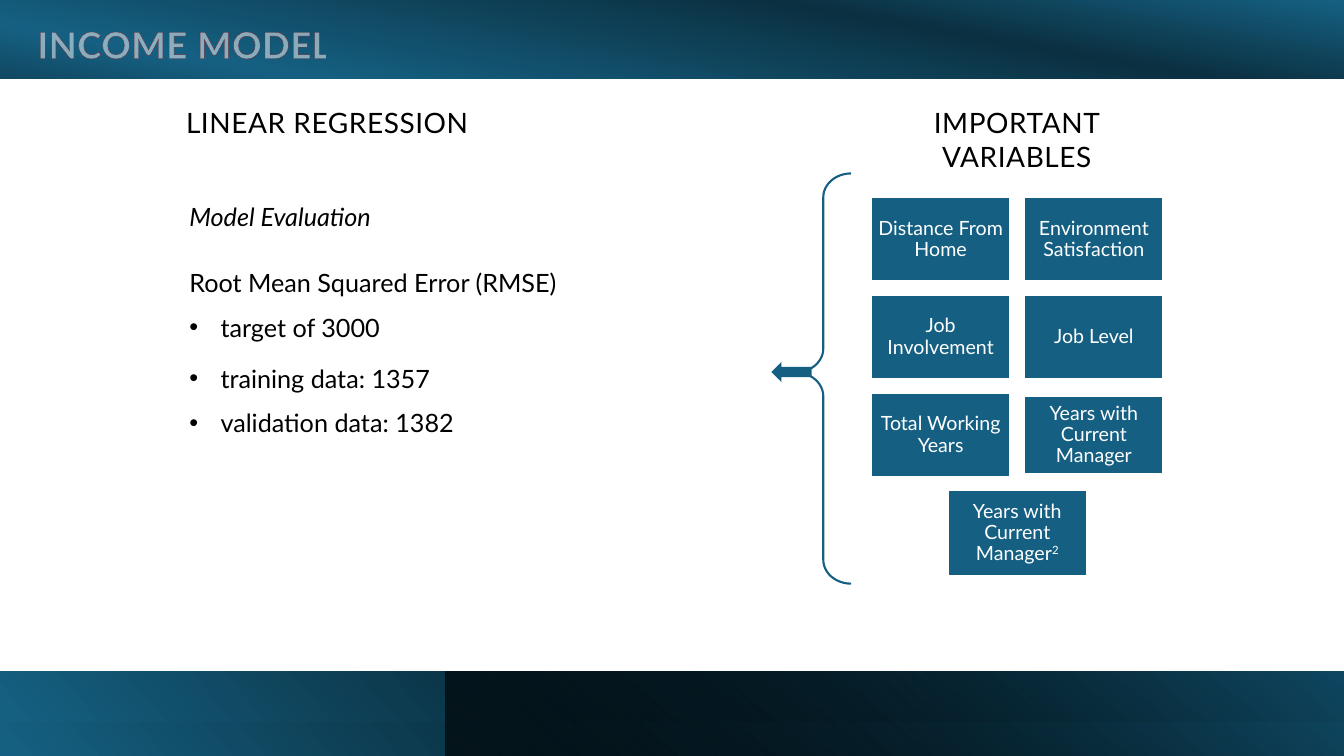
import pptx
import pptx.util
import pptx.dml.color
import pptx.enum.shapes
import pptx.enum.text
import pptx.oxml
import pptx.oxml.ns

COLORS = {"teal": "156082", "deep": "0B3041", "mid": "104862",
          "black": "000000", "white": "FFFFFF", "red": "C00000"}
FONT = "Lato"
NS = 'xmlns:a="http://schemas.openxmlformats.org/drawingml/2006/main"'
WIDTH, HEIGHT = pptx.util.Inches(13.33), pptx.util.Inches(7.5)
SHAPE = pptx.enum.shapes.MSO_SHAPE
ALIGN = pptx.enum.text.PP_ALIGN
ANCHOR = pptx.enum.text.MSO_ANCHOR

# Variable boxes: label, superscript, grid column, grid row, height in percent
VARIABLES = [
    ("Distance From Home", "", 0, 0, 11.07),
    ("Environment Satisfaction", "", 1, 0, 11.07),
    ("Job Involvement", "", 0, 1, 11.07),
    ("Job Level", "", 1, 1, 11.07),
    ("Total Working Years", "", 0, 2, 11.07),
    ("Years with Current Manager", "", 1, 2, 10.4),
    ("Years with Current Manager", "2", 0.5, 3, 11.33),
]
# Evaluation lines: text, italic, bullet, space before in points
EVALUATION = [
    ("Model Evaluation", True, False, 0),
    ("Root Mean Squared Error (RMSE)", False, False, 25.6),
    ("target of 3000", False, True, 10),
    ("training data: 1357", False, True, 15),
    ("validation data: 1382", False, True, 10),
]


def rgb(name):
    return pptx.dml.color.RGBColor.from_string(COLORS[name])


def area(left, top, width, height):
    """Turn percentages of the slide into lengths."""
    return (int(WIDTH * left / 100), int(HEIGHT * top / 100),
            int(WIDTH * width / 100), int(HEIGHT * height / 100))


def add_span(para, text, size, color, bold=False, italic=False, spacing=0):
    span = para.add_run()
    span.text = text
    span.font.name, span.font.size = FONT, pptx.util.Pt(size)
    span.font.bold, span.font.italic = bold, italic
    span.font.color.rgb = rgb(color)
    if spacing:
        span.font._element.set("spc", str(spacing))
    return span


def add_block(page, kind, place, fill=None, line=None):
    block = page.shapes.add_shape(kind, *area(*place))
    block.shadow.inherit = False
    if fill:
        block.fill.solid()
        block.fill.fore_color.rgb = rgb(fill)
    else:
        block.fill.background()
    if line:
        block.line.color.rgb = rgb(line)
        block.line.width = pptx.util.Pt(1.5)
    else:
        block.line.fill.background()
    return block


def add_band(page, place, stops, angle, rotation=0, flip=False):
    """Add a gradient band; each stop is position, color, opacity."""
    band = add_block(page, SHAPE.RECTANGLE, place)
    band.rotation = rotation
    properties = band.element.spPr
    if flip:
        properties.find(pptx.oxml.ns.qn("a:xfrm")).set("flipH", "1")
    marks = "".join(
        f'<a:gs pos="{position * 1000}"><a:srgbClr val="{COLORS[color]}">'
        f'<a:alpha val="{opacity * 1000}"/></a:srgbClr></a:gs>'
        for position, color, opacity in stops)
    gradient = pptx.oxml.parse_xml(
        f'<a:gradFill {NS} rotWithShape="1"><a:gsLst>{marks}</a:gsLst>'
        f'<a:lin ang="{angle * 60000}" scaled="0"/></a:gradFill>')
    properties.replace(properties.find(pptx.oxml.ns.qn("a:noFill")), gradient)


def add_text_box(page, place):
    box = page.shapes.add_textbox(*area(*place))
    box.text_frame.word_wrap = True
    return box.text_frame


def add_heading(page, text, left):
    para = add_text_box(page, (left, 13.33, 24.83, 5.87)).paragraphs[0]
    para.alignment = ALIGN.CENTER
    add_span(para, text, 20, "black", spacing=40)


def set_title(page, text):
    title = page.shapes.title
    title.left, title.top, title.width, title.height = area(2.03, 2.27, 50.04, 7.2)
    frame = title.text_frame
    frame.vertical_anchor = ANCHOR.TOP
    frame.auto_size = pptx.enum.text.MSO_AUTO_SIZE.NONE
    para = frame.paragraphs[0]
    para.alignment = ALIGN.LEFT
    span = add_span(para, text, 26, "white", bold=True, spacing=40)
    span.font._element.insert(0, pptx.oxml.parse_xml(
        f'<a:ln {NS} w="3175"><a:solidFill><a:srgbClr val="{COLORS["red"]}">'
        '<a:alpha val="50000"/></a:srgbClr></a:solidFill></a:ln>'))
    # Bring the title in front of the bands
    page.shapes.element.append(title.element)


def add_variable(page, label, power, column, row, height):
    middle = 31.65 + 12.95 * row
    place = (64.82 + 11.4 * column, middle - height / 2, 10.35, height)
    frame = add_block(page, SHAPE.RECTANGLE, place, "teal", "white").text_frame
    frame.word_wrap = True
    frame.vertical_anchor = ANCHOR.MIDDLE
    frame.margin_left = frame.margin_right = pptx.util.Inches(0.06)
    frame.margin_top = frame.margin_bottom = pptx.util.Inches(0.06)
    para = frame.paragraphs[0]
    para.alignment, para.line_spacing = ALIGN.CENTER, 0.9
    para.space_after = pptx.util.Pt(5)
    add_span(para, label, 14, "white")
    if power:
        add_span(para, power, 14, "white").font._element.set("baseline", "30000")


def add_evaluation(page):
    frame = add_text_box(page, (13.35, 26, 30.91, 37.33))
    for index, (text, italic, bullet, before) in enumerate(EVALUATION):
        para = frame.add_paragraph() if index else frame.paragraphs[0]
        if before:
            para.space_before = pptx.util.Pt(before)
        if bullet:
            properties = para._p.get_or_add_pPr()
            indent = pptx.util.Inches(0.31)
            properties.set("marL", str(indent))
            properties.set("indent", str(-indent))
            properties.append(pptx.oxml.parse_xml(f'<a:buFont {NS} typeface="Arial"/>'))
            properties.append(pptx.oxml.parse_xml(f'<a:buChar {NS} char="•"/>'))
        add_span(para, text, 18, "black", italic=italic)


def main():
    deck = pptx.Presentation()
    deck.slide_width, deck.slide_height = WIDTH, HEIGHT
    page = deck.slides.add_slide(deck.slide_layouts[5])

    # Header and footer bands
    add_band(page, (0, 0, 100, 10.4),
             [(0, "teal", 100), (32, "deep", 100), (83, "teal", 100), (100, "mid", 100)], 100)
    for top in (93.33, 88.8):
        add_band(page, (0, top, 100, 6.67),
                 [(0, "teal", 100), (78, "black", 100)], 40, rotation=180, flip=True)
        add_band(page, (33.14, top, 66.86, 6.67),
                 [(0, "black", 63), (100, "mid", 100)], 230, flip=True)
    set_title(page, "INCOME MODEL")

    # Headings
    add_heading(page, "LINEAR REGRESSION", 11.93)
    add_heading(page, "IMPORTANT VARIABLES", 63.24)

    # Important variables, gathered by the brace
    for variable in VARIABLES:
        add_variable(page, *variable)
    brace = add_block(page, SHAPE.RIGHT_BRACE, (59.19, 22.93, 4.13, 54.27), line="teal")
    brace.adjustments[0], brace.adjustments[1] = 0.43, 0.515
    brace.rotation = 180
    arrow = add_block(page, SHAPE.RIGHT_ARROW, (57.39, 47.87, 3, 2.67), fill="teal")
    arrow.rotation = 180

    # Model evaluation
    add_evaluation(page)
    deck.save("out.pptx")


if __name__ == "__main__":
    main()
